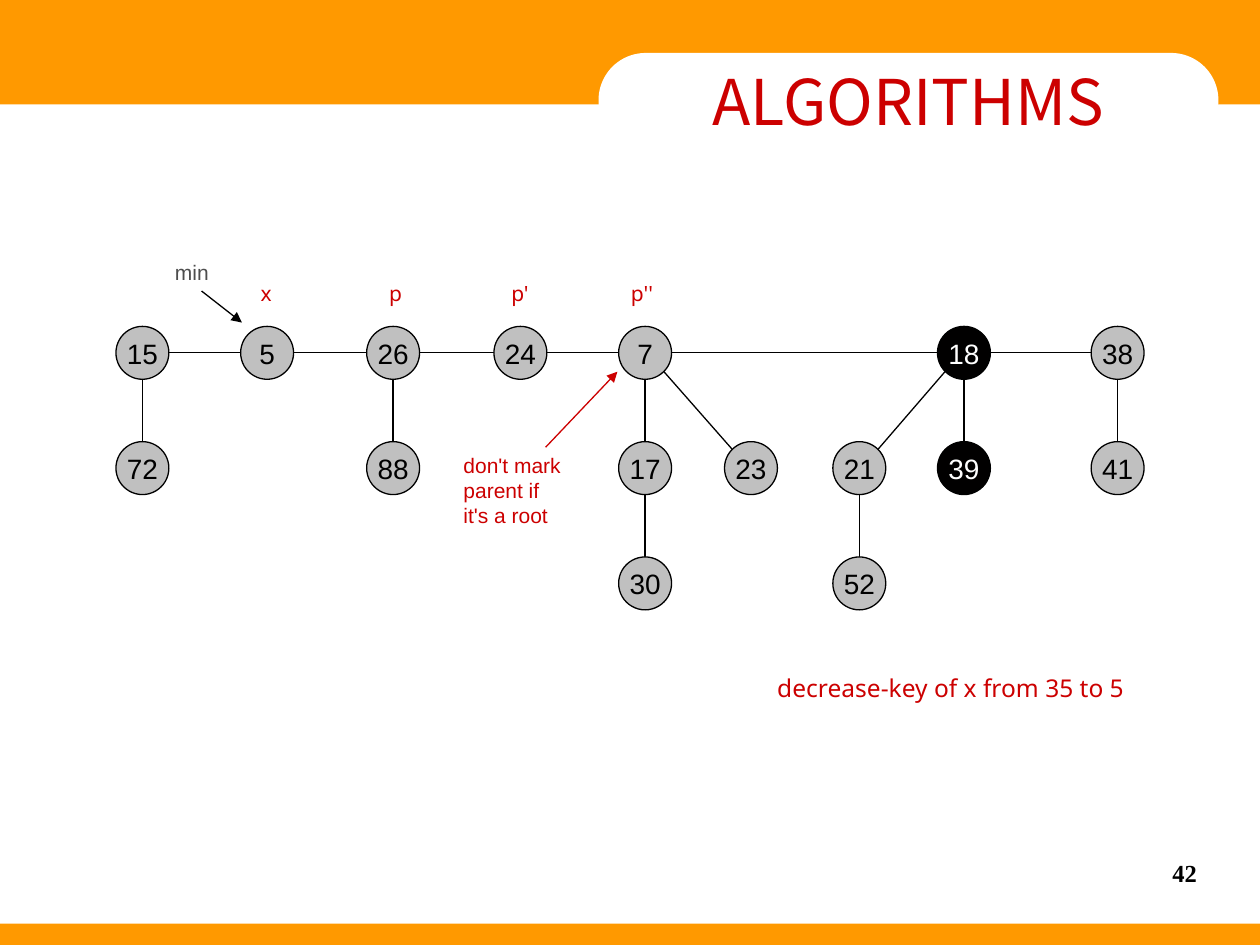
"""Build the Fibonacci heap decrease-key slide."""
from math import hypot

from lxml import etree
from pptx import Presentation
from pptx.dml.color import RGBColor
from pptx.enum import shapes, text
from pptx.oxml import ns
from pptx.util import Inches, Pt

ORANGE, RED, GRAY = "FF9900", "CC0000", "C0C0C0"
BLACK, MARKED, WHITE = "000000", "010000", "FFFFFF"
DIAMETER, TOP, ROW_GAP = 0.42, 2.8, 0.915
COLUMNS = [1.13, 2.12, 3.12, 4.13, 5.12, 5.96, 6.82, 7.65, 8.87]

# node: (column, row)
NODES = {
    "15": (0, 0), "5": (1, 0), "26": (2, 0), "24": (3, 0), "7": (4, 0),
    "18": (7, 0), "38": (8, 0),
    "72": (0, 1), "88": (2, 1), "17": (4, 1), "23": (5, 1), "21": (6, 1),
    "39": (7, 1), "41": (8, 1),
    "30": (4, 2), "52": (6, 2),
}
MARKED_NODES = {"18", "39"}
EDGES = [
    ("15", "5"), ("5", "26"), ("26", "7"), ("7", "18"), ("18", "38"),
    ("15", "72"), ("26", "88"), ("7", "17"), ("7", "23"), ("17", "30"),
    ("18", "21"), ("18", "39"), ("21", "52"), ("38", "41"),
]
ARROWS = [(1.6, 2.31, 1.92, 2.56, BLACK), (4.33, 3.55, 4.9, 2.95, RED)]
LABELS = [
    ("x", (1.97, 2.18, 0.3, 0.3), 12, "Noto Sans", RED),
    ("p", (2.99, 2.18, 0.3, 0.3), 12, "Noto Sans", RED),
    ("p'", (3.96, 2.18, 0.4, 0.3), 12, "Noto Sans", RED),
    ("p''", (4.91, 2.18, 0.5, 0.3), 12, "Noto Sans", RED),
    ("min", (1.29, 2.01, 0.47, 0.3), 12, "Arial", "4D4D4D"),
    ("don't mark\vparent if\vit's a root", (3.58, 3.54, 0.98, 0.7), 12, "Arial", RED),
    ("decrease-key of x from 35 to 5", (6.07, 5.29, 3.72, 0.34), 14, "Noto Sans", RED),
]


def rgb(color):
    """Turn a hex string into a colour."""
    return RGBColor.from_string(color)


def write(s, words, size=16, font="Arial", color=BLACK, bold=False,
          align=text.PP_ALIGN.LEFT, anchor=text.MSO_ANCHOR.TOP, wrap=False):
    """Put formatted text in a shape and return its paragraph."""
    tf = s.text_frame
    tf.word_wrap, tf.vertical_anchor = wrap, anchor
    p = tf.paragraphs[0]
    p.text, p.alignment = words, align
    for r in p.runs:
        r.font.size, r.font.name, r.font.bold = Pt(size), font, bold
        r.font.color.rgb = rgb(color)
    return p


def add_block(slide, kind, box, fill, line=None):
    """Add a filled preset shape."""
    s = slide.shapes.add_shape(kind, *map(Inches, box))
    s.shadow.inherit = False
    s.fill.solid()
    s.fill.fore_color.rgb = rgb(fill)
    if line:
        s.line.color.rgb = rgb(line)
        s.line.width = Pt(0.75)
    else:
        s.line.fill.background()
    return s


def add_line(slide, ends, color=BLACK, arrow=False):
    """Add a straight line, with an arrowhead at its end if asked."""
    s = slide.shapes.add_connector(shapes.MSO_CONNECTOR.STRAIGHT, *map(Inches, ends))
    s.line.color.rgb = rgb(color)
    s.line.width = Pt(0.75)
    if arrow:
        etree.SubElement(s.line._get_or_add_ln(), ns.qn("a:tailEnd"), type="triangle")
    etree.SubElement(s._element.spPr, ns.qn("a:effectLst"))


def center(node):
    """Return the middle of a node."""
    column, row = NODES[node]
    return COLUMNS[column], TOP + row * ROW_GAP


def edge_ends(start, end):
    """Return the points on two circles nearest the eight compass directions."""
    (x1, y1), (x2, y2) = center(start), center(end)
    sx, sy = (x2 > x1) - (x2 < x1), (y2 > y1) - (y2 < y1)
    step = DIAMETER / 2 / hypot(sx, sy)
    return x1 + sx * step, y1 + sy * step, x2 - sx * step, y2 - sy * step


def main():
    """Draw the slide and save it."""
    prs = Presentation()
    prs.slide_width, prs.slide_height = Inches(10), Inches(7.5)
    slide = prs.slides.add_slide(prs.slide_layouts[6])
    middle = dict(align=text.PP_ALIGN.CENTER, anchor=text.MSO_ANCHOR.MIDDLE)
    kinds = shapes.MSO_SHAPE

    for box in [(0, 7.33, 10, 0.17), (0, 0, 10, 0.83)]:
        add_block(slide, kinds.RECTANGLE, box, ORANGE)
    title = add_block(slide, kinds.ROUNDED_RECTANGLE, (4.75, 0.42, 4.92, 0.75), WHITE)
    title.adjustments[0] = 0.5
    write(title, "ALGORITHMS", size=36, font="Noto Sans CJK KR", color=RED, **middle)

    number = slide.shapes.add_textbox(*map(Inches, (7.17, 6.83, 2.33, 0.52)))
    tf = number.text_frame
    tf.margin_left = tf.margin_top = tf.margin_right = tf.margin_bottom = 0
    p = write(number, "42", size=14, font="Times New Roman", bold=True,
              align=text.PP_ALIGN.RIGHT, wrap=True)
    p.line_spacing = 0.95

    for edge in EDGES:
        add_line(slide, edge_ends(*edge))
    for node in NODES:
        x, y = center(node)
        marked = node in MARKED_NODES
        box = (x - DIAMETER / 2, y - DIAMETER / 2, DIAMETER, DIAMETER)
        s = add_block(slide, kinds.OVAL, box, MARKED if marked else GRAY, BLACK)
        write(s, node, color=WHITE if marked else BLACK, **middle)

    for words, box, size, font, color in LABELS:
        s = slide.shapes.add_textbox(*map(Inches, box))
        write(s, words, size=size, font=font, color=color)
        s.text_frame.auto_size = text.MSO_AUTO_SIZE.SHAPE_TO_FIT_TEXT
    for *ends, color in ARROWS:
        add_line(slide, ends, color, arrow=True)

    prs.save("out.pptx")


if __name__ == "__main__":
    main()
